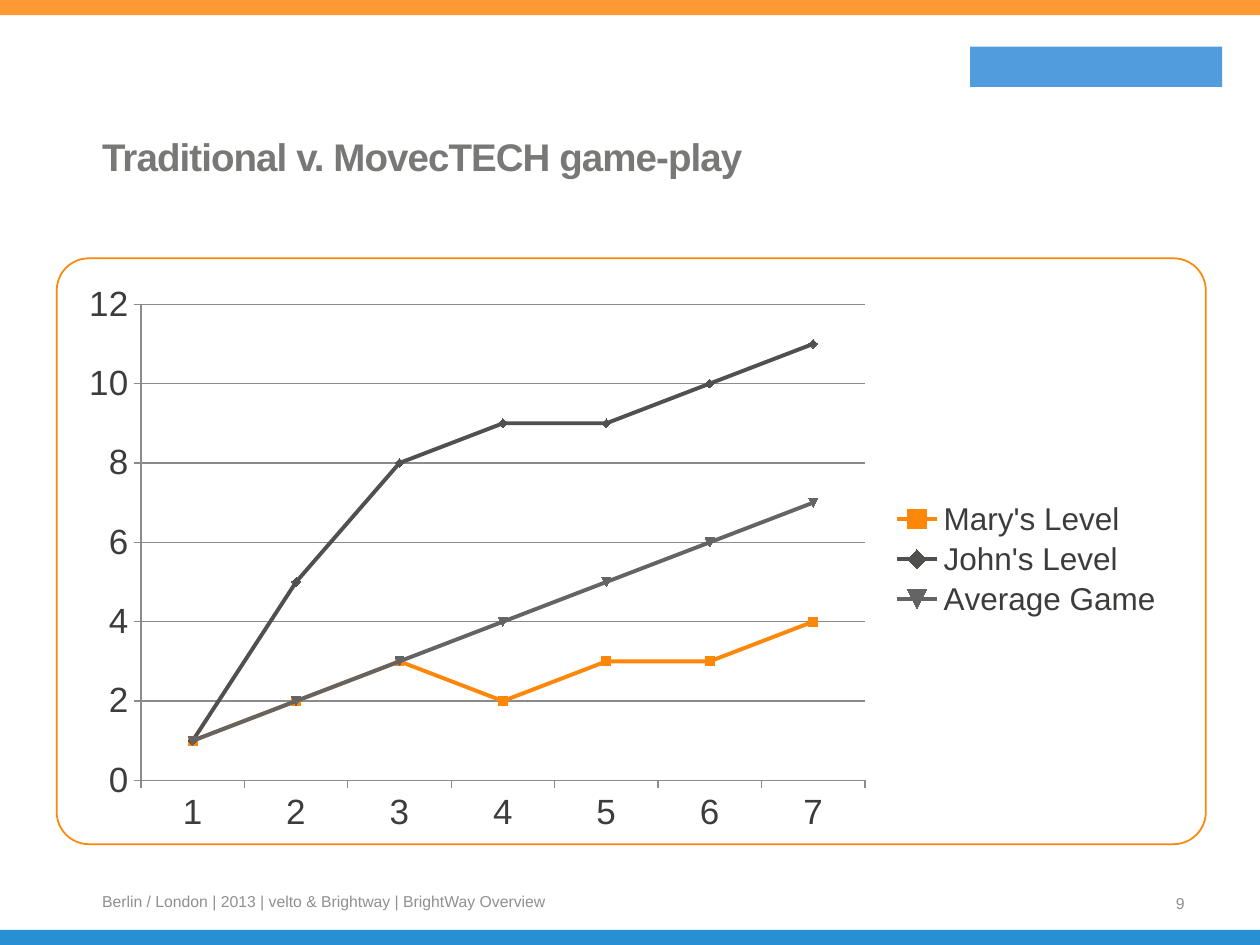
from lxml import etree
from pptx import Presentation
from pptx.chart.data import CategoryChartData
from pptx.dml.color import RGBColor
from pptx.enum import chart as charts, shapes, text
from pptx.oxml import parse_xml
from pptx.oxml.ns import nsdecls
from pptx.util import Inches, Pt

THEME = {
    "font": "Arial",
    "orange": "FD8709", "blue": "509CDD", "grey": "787977",
    "top_band": "FF9933", "bottom_band": "288FD3",
    "footer": "8F918E", "ink": "3C3C3B", "grid": "8B8B8B",
    "dark": "50504F", "mid": "636463",
    "title_size": 22, "footer_size": 9,
    "chart_size": 10, "axis_size": 20, "legend_size": 18,
}

BLOCKS = [  # box, colour
    ((0, 0, 10, 0.12), "top_band"),
    ((0, 7.38, 10, 0.12), "bottom_band"),
    ((7.7, 0.37, 2, 0.32), "blue"),
]
PANEL = (0.45, 2.05, 9.12, 4.65)

TITLE = "Traditional v. MovecTECH game-play"
FOOTER = "Berlin / London | 2013 | velto & Brightway | BrightWay Overview"
PAGE_NUMBER = "9"

CHART_BOX = (0.5, 2.19, 8.84, 4.5)
PLOT_LAYOUT = {"x": 0.07, "y": 0.05, "w": 0.65, "h": 0.84}
LEGEND_LAYOUT = {"x": 0.74, "y": 0.39, "w": 0.25, "h": 0.22}
CATEGORIES = ["1", "2", "3", "4", "5", "6", "7"]
SERIES = [
    ("Mary's Level", [1, 2, 3, 2, 3, 3, 4], "orange"),
    ("John's Level", [1, 5, 8, 9, 9, 10, 11], "dark"),
    ("Average Game", [1, 2, 3, 4, 5, 6, 7], "mid"),
]


def color(name):
    return RGBColor.from_string(THEME[name])


def inches(box):
    return [Inches(value) for value in box]


def write(frame, wording, ink, size, insets=(0.1, 0.05, 0.1, 0.05),
          anchor=text.MSO_ANCHOR.MIDDLE, align=text.PP_ALIGN.LEFT, bold=False):
    """Fill a text frame with one formatted paragraph."""
    frame.word_wrap = True
    frame.auto_size = text.MSO_AUTO_SIZE.NONE
    frame.vertical_anchor = anchor
    (frame.margin_left, frame.margin_top,
     frame.margin_right, frame.margin_bottom) = inches(insets)
    paragraph = frame.paragraphs[0]
    paragraph.text = wording
    paragraph.alignment = align
    paragraph.font.name = THEME["font"]
    paragraph.font.size = Pt(THEME[size])
    paragraph.font.bold = bold
    paragraph.font.color.rgb = color(ink)
    return paragraph


def add_text(slide, box, *arguments, **options):
    frame = slide.shapes.add_textbox(*inches(box)).text_frame
    write(frame, *arguments, **options)


def add_frame(slide):
    for box, fill in BLOCKS:
        block = slide.shapes.add_shape(
            shapes.MSO_SHAPE.RECTANGLE, *inches(box))
        block.shadow.inherit = False
        block.fill.solid()
        block.fill.fore_color.rgb = color(fill)
        block.line.fill.background()
    panel = slide.shapes.add_shape(
        shapes.MSO_SHAPE.ROUNDED_RECTANGLE, *inches(PANEL))
    panel.adjustments[0] = 0.055
    panel.shadow.inherit = False
    panel.fill.background()
    panel.line.color.rgb = color("orange")
    panel.line.width = Pt(1)


def add_title(slide):
    title = slide.shapes.title
    title.left, title.top, title.width, title.height = inches(
        (0.5, 1.01, 7.76, 0.83))
    paragraph = write(title.text_frame, TITLE, "grey", "title_size",
                      insets=(0.31, 0.05, 0.1, 0.05),
                      anchor=text.MSO_ANCHOR.TOP, bold=True)
    paragraph.line_spacing = Pt(26)
    paragraph.runs[0]._r.get_or_add_rPr().set("spc", "-50")


def manual_layout(sizes, inner=False):
    layout = parse_xml(f"<c:layout {nsdecls('c')}><c:manualLayout/></c:layout>")
    settings = {"layoutTarget": "inner"} if inner else {}
    settings.update(xMode="edge", yMode="edge", **sizes)
    for tag, value in settings.items():
        etree.SubElement(layout[0], layout.tag.replace("layout", tag),
                         val=str(value))
    return layout


def add_level_chart(slide):
    data = CategoryChartData()
    data.categories = CATEGORIES
    for name, values, _ in SERIES:
        data.add_series(name, values)
    chart = slide.shapes.add_chart(
        charts.XL_CHART_TYPE.LINE_MARKERS, *inches(CHART_BOX), data).chart
    chart.has_title = False
    chart.font.name = THEME["font"]
    chart.font.size = Pt(THEME["chart_size"])
    chart.font.color.rgb = color("ink")

    for axis in (chart.category_axis, chart.value_axis):
        axis.major_tick_mark = charts.XL_TICK_MARK.OUTSIDE
        axis.minor_tick_mark = charts.XL_TICK_MARK.NONE
        axis.tick_labels.font.size = Pt(THEME["axis_size"])
        axis.format.line.color.rgb = color("grid")
    value_axis = chart.value_axis
    value_axis.minimum_scale, value_axis.maximum_scale = 0, 12
    value_axis.major_unit = 2
    value_axis.has_major_gridlines = True
    value_axis.major_gridlines.format.line.color.rgb = color("grid")

    plot = chart.plots[0]
    plot.vary_by_categories = False
    for series, (_, _, name) in zip(plot.series, SERIES):
        series.smooth = False
        series.format.line.color.rgb = color(name)
        series.format.line.width = Pt(2.25)
        series.marker.style = charts.XL_MARKER_STYLE.AUTOMATIC
        series.marker.size = 5
        series.marker.format.fill.solid()
        series.marker.format.fill.fore_color.rgb = color(name)
        series.marker.format.line.fill.background()

    chart.has_legend = True
    legend = chart.legend
    legend.position = charts.XL_LEGEND_POSITION.RIGHT
    legend.include_in_layout = False
    legend.font.size = Pt(THEME["legend_size"])

    plot_area = chart._chartSpace.chart.plotArea
    for parent in (plot_area, legend._element):
        for old in parent.findall("{*}layout"):
            parent.remove(old)
    plot_area.insert(0, manual_layout(PLOT_LAYOUT, inner=True))
    legend._element.find("{*}legendPos").addnext(manual_layout(LEGEND_LAYOUT))


def main():
    presentation = Presentation()
    presentation.slide_width, presentation.slide_height = inches((10, 7.5))
    slide = presentation.slides.add_slide(presentation.slide_layouts[5])
    add_frame(slide)
    add_title(slide)
    add_text(slide, (7.17, 6.97, 2.33, 0.4), PAGE_NUMBER, "footer",
             "footer_size", align=text.PP_ALIGN.RIGHT)
    add_text(slide, (0.81, 6.95, 3.82, 0.4), FOOTER, "footer",
             "footer_size", insets=(0, 0.05, 0.1, 0.05))
    add_level_chart(slide)
    presentation.save("out.pptx")


if __name__ == "__main__":
    main()
